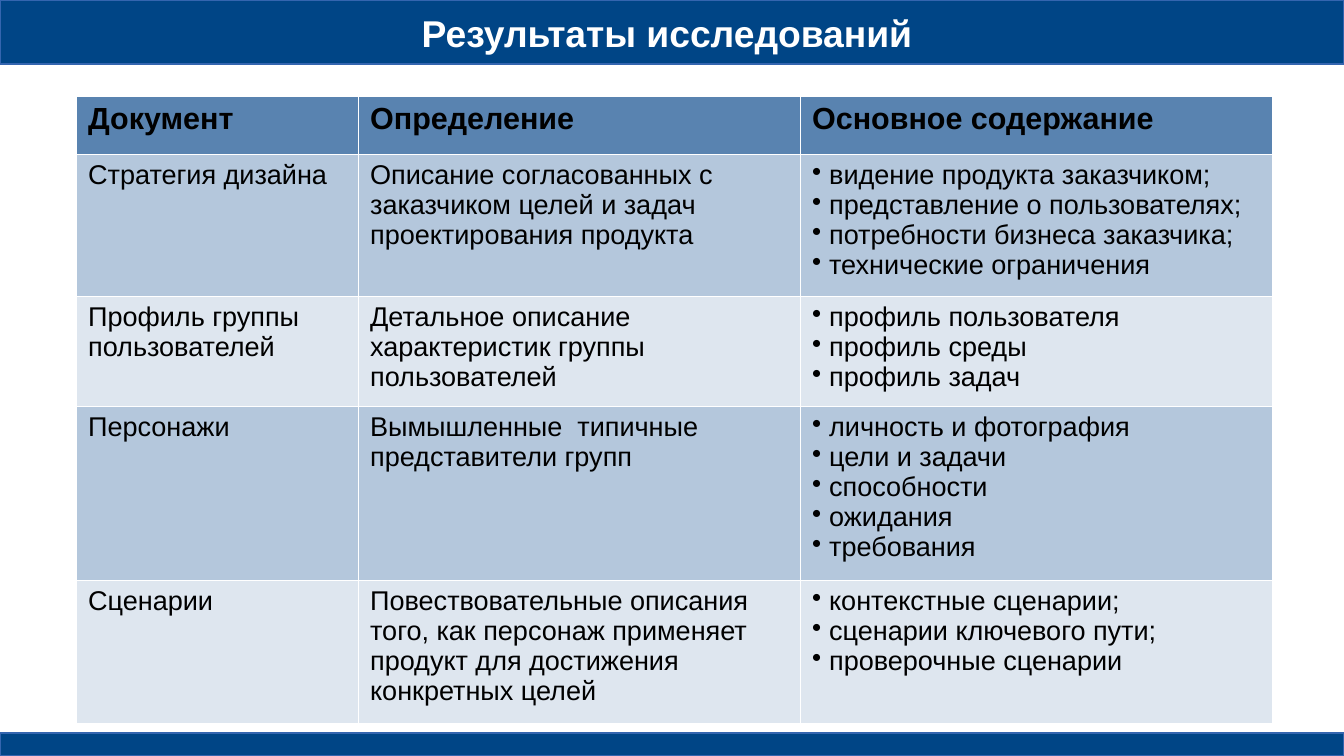
from lxml import etree
from pptx import Presentation
from pptx.dml.color import RGBColor
from pptx.enum.shapes import MSO_SHAPE
from pptx.enum.text import MSO_ANCHOR, PP_ALIGN
from pptx.oxml.ns import qn
from pptx.util import Pt

RECT = MSO_SHAPE.RECTANGLE
MIDDLE = MSO_ANCHOR.MIDDLE
CENTER = PP_ALIGN.CENTER
PX = 914400 // 122
WIDE, HIGH = 1344, 756
FONT = "Arial"
COLORS = {"bar": "004586", "edge": "3465AF", "head": "5983B0",
          "dark": "B4C7DC", "pale": "DEE6EF", "text": "000000",
          "white": "FFFFFF"}

COLS = [282, 442, 472]
ROWS = [58, 142, 110, 174, 143]
CELLS = [
    ["Документ", "Определение", "Основное содержание"],
    ["Стратегия дизайна",
     "Описание согласованных с заказчиком целей и задач "
     "проектирования продукта",
     "видение продукта заказчиком;\nпредставление о пользователях;\n"
     "потребности бизнеса заказчика;\nтехнические ограничения"],
    ["Профиль группы пользователей",
     "Детальное описание характеристик группы пользователей",
     "профиль пользователя\nпрофиль среды\nпрофиль задач"],
    ["Персонажи",
     "Вымышленные  типичные представители групп",
     "личность и фотография\nцели и задачи\nспособности\nожидания\n"
     "требования"],
    ["Сценарии",
     "Повествовательные описания того, как персонаж применяет продукт "
     "для достижения конкретных целей",
     "контекстные сценарии;\nсценарии ключевого пути;\n"
     "проверочные сценарии"],
]


def color(name):
    return RGBColor.from_string(COLORS[name])


def style(frame, size, bold, ink):
    for par in frame.paragraphs:
        for run in par.runs:
            run.font.name = FONT
            run.font.size = Pt(size)
            run.font.bold = bold
            run.font.color.rgb = color(ink)


def place(shape, left, top, width, height):
    shape.left, shape.top = left * PX, top * PX
    shape.width, shape.height = width * PX, height * PX


def add_bar(slide, top, height):
    bar = slide.shapes.add_shape(RECT, 0, top * PX, WIDE * PX, height * PX)
    bar.shadow.inherit = False
    bar.fill.solid()
    bar.fill.fore_color.rgb = color("bar")
    bar.line.color.rgb = color("edge")
    bar.line.width = 0
    # Keep the bars behind the title
    slide.shapes._spTree.insert(2, bar._element)


def add_title(slide, text):
    title = slide.shapes.title
    place(title, 62, 5, 1210, 56)
    frame = title.text_frame
    frame.text = text
    frame.vertical_anchor = MIDDLE
    frame.margin_left = frame.margin_right = 0
    frame.margin_top = frame.margin_bottom = 0
    frame.paragraphs[0].alignment = CENTER
    style(frame, 22, True, "white")


def add_bullet(par):
    props = par._p.get_or_add_pPr()
    props.set("marL", str(17 * PX))
    props.set("indent", str(-17 * PX))
    etree.SubElement(props, qn("a:buChar")).set("char", "•")


def add_edges(cell):
    props = cell._tc.get_or_add_tcPr()
    for spot, side in enumerate(("lnL", "lnR", "lnT", "lnB")):
        line = etree.Element(qn(f"a:{side}"), w="720")
        fill = etree.SubElement(line, qn("a:solidFill"))
        etree.SubElement(fill, qn("a:srgbClr")).set("val", COLORS["white"])
        props.insert(spot, line)


def fill_cell(cell, text, row, col):
    cell.text_frame.text = text
    if row and col == 2:
        for par in cell.text_frame.paragraphs:
            add_bullet(par)
    style(cell.text_frame, 16 if row else 18, not row, "text")
    shade = ("dark" if row % 2 else "pale") if row else "head"
    cell.fill.solid()
    cell.fill.fore_color.rgb = color(shade)
    add_edges(cell)


def add_grid(slide):
    frame = slide.shapes.add_table(len(ROWS), len(COLS), 76 * PX, 96 * PX,
                                   sum(COLS) * PX, sum(ROWS) * PX)
    table = frame.table
    for col, width in enumerate(COLS):
        table.columns[col].width = width * PX
    for row, height in enumerate(ROWS):
        table.rows[row].height = height * PX
        for col, text in enumerate(CELLS[row]):
            fill_cell(table.cell(row, col), text, row, col)


def main():
    deck = Presentation()
    deck.slide_width, deck.slide_height = WIDE * PX, HIGH * PX
    slide = deck.slides.add_slide(deck.slide_layouts[5])
    # Top and bottom bars
    add_bar(slide, 733, 23)
    add_bar(slide, 0, 64)
    # Title and table
    add_title(slide, "Результаты исследований")
    add_grid(slide)
    deck.save("out.pptx")


if __name__ == "__main__":
    main()
